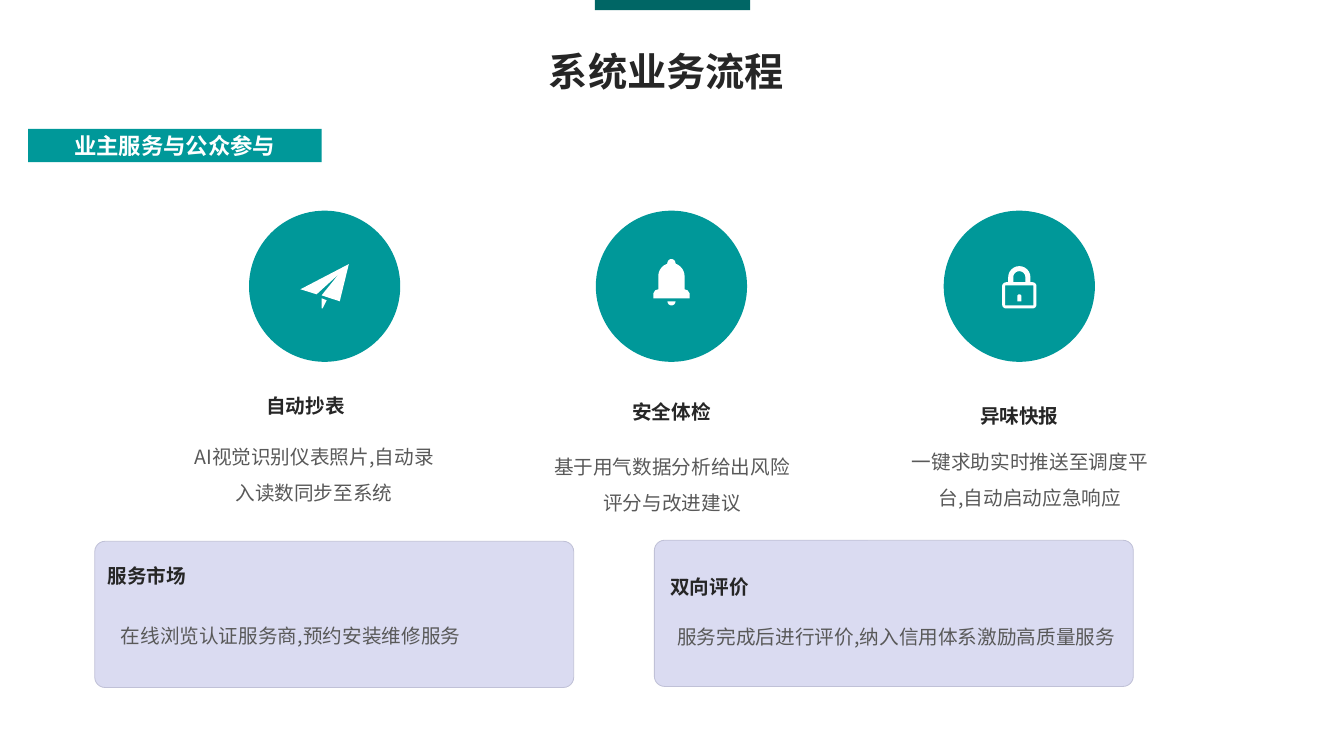
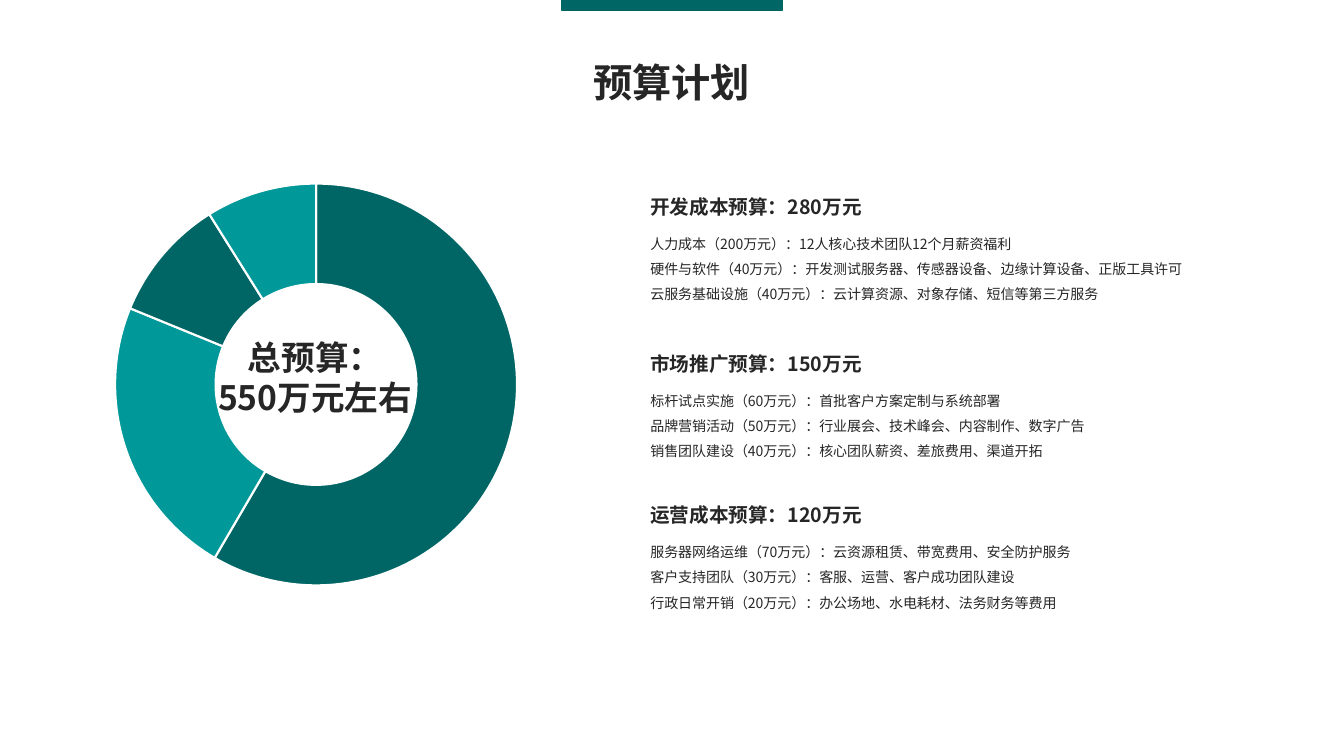
from math import cos, radians, sin
from typing import NamedTuple

from lxml.etree import SubElement
from pptx import Presentation
from pptx.chart.data import CategoryChartData
from pptx.dml.color import RGBColor
from pptx.enum.chart import XL_CHART_TYPE
from pptx.enum.shapes import MSO_SHAPE
from pptx.enum.text import MSO_ANCHOR, MSO_AUTO_SIZE, PP_ALIGN
from pptx.oxml import parse_xml
from pptx.oxml.ns import nsdecls, qn
from pptx.util import Inches, Length, Pt

FONT = "Noto Sans CJK SC"
HEX = {"deep": "006665", "teal": "009899", "ink": "262626", "gray": "595959",
       "white": "FFFFFF", "card": "DADBF1", "edge": "C0C1D7"}
LEFT, MID = PP_ALIGN.LEFT, PP_ALIGN.CENTER
Point = tuple[float, float]
Loop = list[Point]


class Box(NamedTuple):
    x: float
    y: float
    w: float
    h: float

    def place(self) -> list[Length]:
        return [Inches(n) for n in self]


class Style(NamedTuple):
    size: float
    color: str = "ink"
    bold: bool = False
    align: PP_ALIGN = LEFT
    space: float | Length = 1.0


class Step(NamedTuple):
    name: str
    text: str
    head: Point
    body: Point
    disc: float
    icon: list[list[Loop]]


class Card(NamedTuple):
    box: Box
    name: str
    text: str
    note: Point


class Cost(NamedTuple):
    name: str
    lines: list[str]
    top: float


TITLE = Style(28, bold=True, align=MID)
TAG = Style(16, "white", True, MID)
HEAD = Style(14, bold=True)
STEP = Style(14, bold=True, align=MID)
BODY = Style(14, "gray", align=MID, space=1.5)
NAME = Style(14, bold=True, space=Pt(27.5))
NOTE = Style(14, "gray", space=Pt(28.5))
ITEM = Style(10, space=1.5)
TOTAL = Style(24, bold=True, align=MID)


def rgb(key: str) -> RGBColor:
    return RGBColor.from_string(HEX[key])


def write(shape, lines: list[str], style: Style, anchor=MSO_ANCHOR.TOP) -> None:
    frame = shape.text_frame
    frame.word_wrap = True
    frame.auto_size = MSO_AUTO_SIZE.NONE
    frame.vertical_anchor = anchor
    for i, line in enumerate(lines):
        para = frame.add_paragraph() if i else frame.paragraphs[0]
        props = para._p.get_or_add_pPr()
        props.set("marL", "0")
        props.set("indent", "0")
        SubElement(props, qn("a:buNone"))
        para.alignment = style.align
        para.line_spacing = style.space
        para.space_before = para.space_after = Pt(0)
        run = para.add_run()
        run.text = line
        font = run.font
        font.name, font.size, font.bold = FONT, Pt(style.size), style.bold
        font.color.rgb = rgb(style.color)
        SubElement(run._r.get_or_add_rPr(), qn("a:ea")).set("typeface", FONT)


def label(slide, box: Box, lines: list[str], style: Style) -> None:
    write(slide.shapes.add_textbox(*box.place()), lines, style)


def fill(slot, box: Box, lines: list[str], style: Style) -> None:
    """Move a placeholder and give it its text."""
    slot.left, slot.top, slot.width, slot.height = box.place()
    write(slot, lines, style)


def paint(shape, color: str, edge: str | None = None, width: float = 1) -> None:
    shape.shadow.inherit = False
    shape.fill.solid()
    shape.fill.fore_color.rgb = rgb(color)
    if edge:
        shape.line.color.rgb = rgb(edge)
        shape.line.width = Pt(width)
    else:
        shape.line.fill.background()


def block(slide, kind: MSO_SHAPE, box: Box, color: str,
          edge: str | None = None, width: float = 1):
    shape = slide.shapes.add_shape(kind, *box.place())
    paint(shape, color, edge, width)
    return shape


def outline(slide, loops: list[Loop]) -> None:
    """Draw closed loops as one white shape; inner loops are holes."""
    paths = [[(Inches(x), Inches(y)) for x, y in loop] for loop in loops]
    pen = slide.shapes.build_freeform(*paths[0][0], scale=1.0)
    for i, path in enumerate(paths):
        if i:
            pen.move_to(*path[0])
        pen.add_line_segments(path[1:], close=True)
    paint(pen.convert_to_shape(), "white")


def arc(x: float, y: float, r: float, start: int, end: int) -> Loop:
    turns = [radians(start + (end - start) * i / 12) for i in range(13)]
    return [(x + r * cos(t), y + r * sin(t)) for t in turns]


def plane() -> list[list[Loop]]:
    wing = [(3.46, 2.62), (2.98, 2.87), (3.14, 2.92), (3.36, 2.72),
            (3.19, 2.93), (3.37, 2.99)]
    return [[wing], [[(3.19, 2.96), (3.24, 2.98), (3.2, 3.06), (3.19, 3.06)]]]


def bell() -> list[list[Loop]]:
    x, y = 6.66, 2.74
    dome = (arc(x, y, 0.13, 180, 250) + arc(x, 2.61, 0.04, 180, 360)
            + arc(x, y, 0.13, 290, 360))
    foot = [(6.79, 2.87), (6.82, 2.88), (6.84, 2.91), (6.84, 2.96),
            (6.48, 2.96), (6.48, 2.91), (6.5, 2.88), (6.53, 2.87)]
    return [[dome + foot], [arc(x, 2.99, 0.04, 0, 180)]]


def lock() -> list[list[Loop]]:
    x, y = 10.11, 2.75
    case = (arc(x, y, 0.11, 180, 360) + [(10.22, 2.8)]
            + arc(10.24, 2.84, 0.04, 270, 360) + arc(10.24, 3.02, 0.04, 0, 90)
            + arc(9.98, 3.02, 0.04, 90, 180) + arc(9.98, 2.84, 0.04, 180, 270)
            + [(10.0, 2.8)])
    gap = arc(x, y, 0.06, 180, 360) + [(10.17, 2.8), (10.05, 2.8)]
    room = [(9.97, 2.83), (10.25, 2.83), (10.25, 3.03), (9.97, 3.03)]
    key = arc(x, 2.94, 0.02, 180, 360) + [(10.13, 2.99), (10.09, 2.99)]
    return [[case, gap, room], [key]]


STEPS = [
    Step("自动抄表", "AI视觉识别仪表照片,自动录入读数同步至系统",
         (1.54, 3.86), (1.82, 4.25), 2.47, plane()),
    Step("安全体检", "基于用气数据分析给出风险评分与改进建议",
         (5.17, 3.92), (5.37, 4.35), 5.91, bell()),
    Step("异味快报", "一键求助实时推送至调度平台,自动启动应急响应",
         (8.62, 3.96), (8.92, 4.3), 9.36, lock()),
]
CARDS = [
    Card(Box(0.94, 5.37, 4.75, 1.45), "服务市场",
         "在线浏览认证服务商,预约安装维修服务", (1.1, 5.98)),
    Card(Box(6.49, 5.36, 4.75, 1.45), "双向评价",
         "服务完成后进行评价,纳入信用体系激励高质量服务", (6.62, 5.99)),
]
COSTS = [
    Cost("开发成本预算：280万元", [
        "人力成本（200万元）：12人核心技术团队12个月薪资福利",
        "硬件与软件（40万元）：开发测试服务器、传感器设备、边缘计算设备、正版工具许可",
        "云服务基础设施（40万元）：云计算资源、对象存储、短信等第三方服务"], 1.88),
    Cost("市场推广预算：150万元", [
        "标杆试点实施（60万元）：首批客户方案定制与系统部署",
        "品牌营销活动（50万元）：行业展会、技术峰会、内容制作、数字广告",
        "销售团队建设（40万元）：核心团队薪资、差旅费用、渠道开拓"], 3.44),
    Cost("运营成本预算：120万元", [
        "服务器网络运维（70万元）：云资源租赁、带宽费用、安全防护服务",
        "客户支持团队（30万元）：客服、运营、客户成功团队建设",
        "行政日常开销（20万元）：办公场地、水电耗材、法务财务等费用"], 4.94),
]


def start(deck, title: str, box: Box):
    """Add a titled slide; return it with its three body placeholders."""
    slide = deck.slides.add_slide(deck.slide_layouts[4])
    fill(slide.shapes.title, box, [title], TITLE)
    *slots, spare = list(slide.placeholders)[1:]
    spare.element.getparent().remove(spare.element)
    return slide, slots


def flow(deck) -> None:
    slide, slots = start(deck, "系统业务流程", Box(4.71, 0.42, 3.8, 1.04))
    band = block(slide, MSO_SHAPE.RECTANGLE, Box(5.9, 0, 1.54, 0.1), "deep")
    deck.slide_master.shapes.element.append(band.element)
    tag = block(slide, MSO_SHAPE.RECTANGLE, Box(0.28, 1.28, 2.91, 0.33), "teal")
    write(tag, ["业主服务与公众参与"], TAG, MSO_ANCHOR.MIDDLE)
    for step, slot in zip(STEPS, slots):
        block(slide, MSO_SHAPE.OVAL, Box(step.disc, 2.09, 1.5, 1.5), "teal")
        for loops in step.icon:
            outline(slide, loops)
        label(slide, Box(*step.head, 2.98, 0.34), [step.name], STEP)
        fill(slot, Box(*step.body, 2.59, 1.06), [step.text], BODY)
    for card in CARDS:
        panel = block(slide, MSO_SHAPE.ROUNDED_RECTANGLE, card.box,
                      "card", "edge", 0.6)
        panel.adjustments[0] = 0.07
        if card is CARDS[0]:
            write(panel, [card.name], NAME)
        else:
            label(slide, Box(6.55, 5.51, 4.6, 0.49), [card.name], NAME)
        label(slide, Box(*card.note, 6.67, 0.5), [card.text], NOTE)


def ring(slide) -> None:
    data = CategoryChartData()
    data.categories = ["1", "2", "3", "4"]
    data.add_series("Series 1", (59, 23, 10, 9))
    box = Box(-0.08, 1.67, 6.43, 4.29)
    chart = slide.shapes.add_chart(XL_CHART_TYPE.DOUGHNUT, *box.place(), data).chart
    chart.has_legend = chart.has_title = False
    chart.font.name, chart.font.size = FONT, Pt(10)
    plot = chart.plots[0]
    plot.vary_by_categories = True
    for i in range(4):
        part = plot.series[0].points[i].format
        part.fill.solid()
        part.fill.fore_color.rgb = rgb(("deep", "teal")[i % 2])
        part.line.color.rgb = rgb("white")
        part.line.width = Pt(1.5)
    area = chart.element.find(".//" + qn("c:plotArea"))
    area.find(".//" + qn("c:holeSize")).set("val", "75")
    for old in area.findall(qn("c:layout")):
        area.remove(old)
    sides = {"x": 0.19, "y": 0.03, "w": 0.62, "h": 0.94}
    modes = "".join(f'<c:{k}Mode val="edge"/>' for k in "xy")
    spans = "".join(f'<c:{k} val="{v}"/>' for k, v in sides.items())
    area.insert(0, parse_xml(
        f'<c:layout {nsdecls("c")}><c:manualLayout><c:layoutTarget val="inner"/>'
        f"{modes}{spans}</c:manualLayout></c:layout>"))


def budget(deck) -> None:
    slide, slots = start(deck, "预算计划", Box(5.3, 0.53, 2.72, 0.57))
    ring(slide)
    label(slide, Box(2.01, 3.29, 2.23, 0.91), ["总预算：", "550万元左右"], TOTAL)
    for cost, slot in zip(COSTS, slots):
        label(slide, Box(6.35, cost.top, 2.98, 0.34), [cost.name], HEAD)
        fill(slot, Box(6.35, cost.top + 0.32, 6.45, 0.83), cost.lines, ITEM)
    block(slide, MSO_SHAPE.RECTANGLE, Box(5.57, -0.02, 2.19, 0.12), "deep", "deep")


def main() -> None:
    deck = Presentation()
    deck.slide_width, deck.slide_height = Inches(13.33), Inches(7.5)
    flow(deck)
    budget(deck)
    deck.save("out.pptx")


if __name__ == "__main__":
    main()
